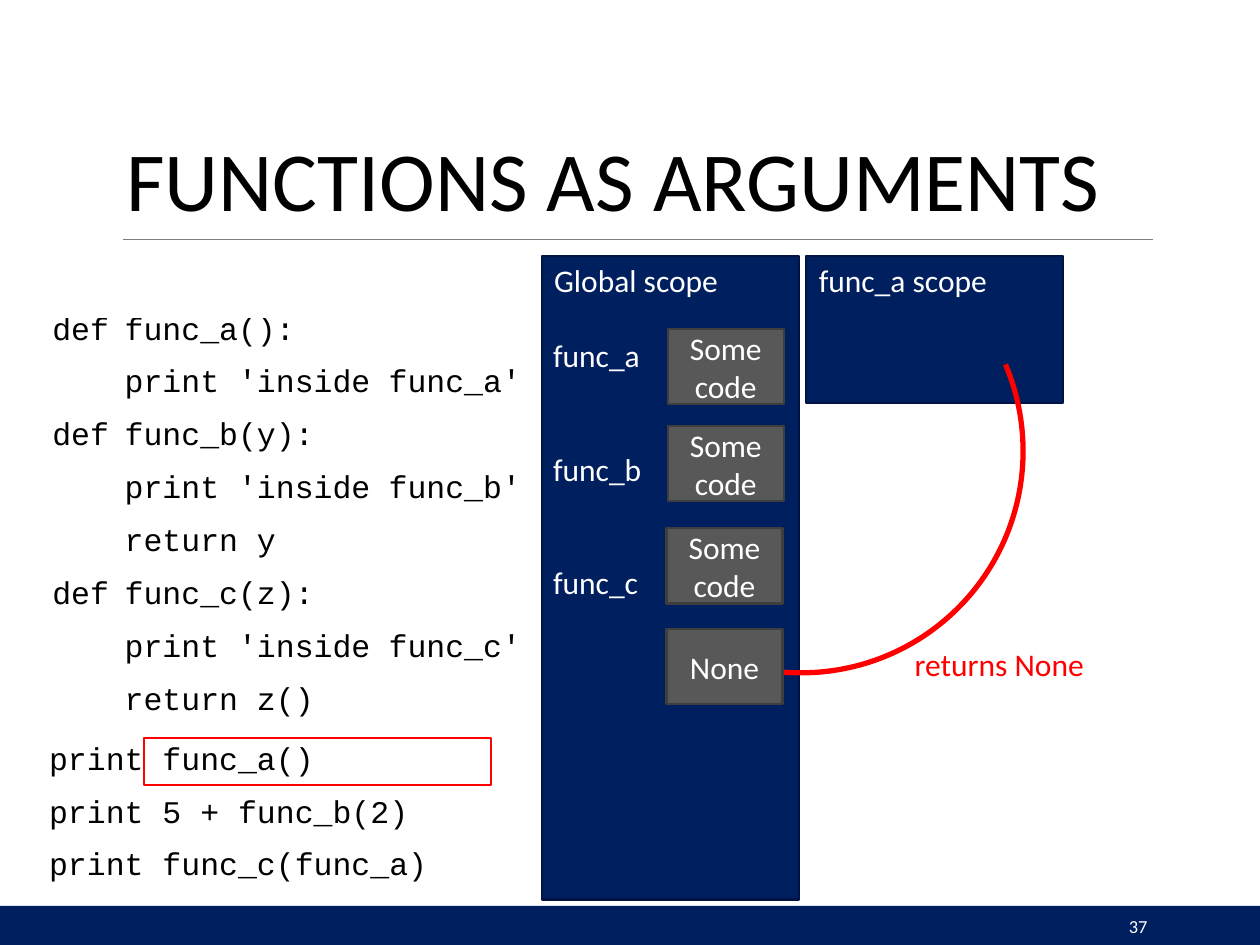
from dataclasses import dataclass
from typing import Optional

from lxml.etree import SubElement
from pptx import Presentation
from pptx.dml.color import RGBColor
from pptx.enum.shapes import MSO_CONNECTOR, MSO_SHAPE
from pptx.enum.text import MSO_ANCHOR, MSO_AUTO_SIZE, PP_ALIGN
from pptx.oxml.ns import qn
from pptx.util import Inches, Pt


@dataclass(frozen=True)
class Theme:
    navy: str = "001F5F"
    navy_edge: str = "001344"
    gray: str = "585858"
    gray_edge: str = "3E3E3E"
    rule: str = "7E7E7E"
    red: str = "FF0000"
    white: str = "FFFFFF"
    black: str = "000000"
    sans: str = "Calibri"
    mono: str = "Courier New"
    title_size: float = 48
    body_size: float = 18
    number_size: float = 10.5
    edge_width: float = 1.25
    arc_width: float = 3


@dataclass(frozen=True)
class Area:
    left: float
    top: float
    width: float
    height: float

    def lengths(self):
        return [Inches(n) for n in (self.left, self.top, self.width, self.height)]


@dataclass(frozen=True)
class CodeBox:
    text: str
    left: float
    top: float


THEME = Theme()
CODE_BOXES = (
    CodeBox("Some code", 5.3, 2.61),
    CodeBox("Some code", 5.3, 3.38),
    CodeBox("Some code", 5.29, 4.19),
    CodeBox("None", 5.29, 4.99),
)
CODE_ROWS = (
    ("def", "func_a():", ""),
    ("", "print 'inside", "func_a'"),
    ("def", "func_b(y):", ""),
    ("", "print 'inside", "func_b'"),
    ("", "return y", ""),
    ("def", "func_c(z):", ""),
    ("", "print 'inside", "func_c'"),
    ("", "return z()", ""),
)
COLUMN_WIDTHS = (0.56, 2.09, 1.16)
COLUMN_INDENTS = (0, 0.07, 0.04)
COLUMN_ALIGNMENTS = (PP_ALIGN.CENTER, PP_ALIGN.LEFT, PP_ALIGN.CENTER)
CALLS = "print func_a()\nprint 5 + func_b(2)\nprint func_c(func_a)"


def write_text(frame, text: str, *, color: str = THEME.white, font: str = THEME.sans,
               size: float = THEME.body_size, align=PP_ALIGN.LEFT, anchor=MSO_ANCHOR.TOP,
               left: float = 0, top: float = 0, line_points: Optional[float] = None) -> None:
    """Fill a text frame, one paragraph per line; left and top are its insets."""
    frame.word_wrap = True
    frame.auto_size = MSO_AUTO_SIZE.NONE
    frame.vertical_anchor = anchor
    frame.margin_left, frame.margin_top = Inches(left), Inches(top)
    frame.margin_right = frame.margin_bottom = 0
    frame.text = text
    for para in frame.paragraphs:
        format_paragraph(para, color, font, size, align)
        if line_points:
            para.line_spacing = Pt(line_points)


def format_paragraph(para, color: str, font: str, size: float, align) -> None:
    para.alignment = align
    para.font.name = font
    para.font.size = Pt(size)
    para.font.color.rgb = RGBColor.from_string(color)


def add_label(page, area: Area, text: str, **text_format) -> None:
    box = page.shapes.add_textbox(*area.lengths())
    write_text(box.text_frame, text, **text_format)


def add_box(page, area: Area, fill: Optional[str] = None, edge: Optional[str] = None,
            edge_width: float = THEME.edge_width, kind=MSO_SHAPE.RECTANGLE):
    box = page.shapes.add_shape(kind, *area.lengths())
    box.shadow.inherit = False
    if fill:
        box.fill.solid()
        box.fill.fore_color.rgb = RGBColor.from_string(fill)
    else:
        box.fill.background()
    if edge:
        box.line.color.rgb = RGBColor.from_string(edge)
        box.line.width = Pt(edge_width)
    else:
        box.line.fill.background()
    return box


def add_title(page) -> None:
    title = page.shapes.title
    title.left, title.top, title.width, title.height = Area(0.99, 0.32, 8.03, 1.51).lengths()
    write_text(title.text_frame, "FUNCTIONS AS ARGUMENTS", color=THEME.black,
               size=THEME.title_size, left=0.01, top=0.69)
    rule = page.shapes.add_connector(MSO_CONNECTOR.STRAIGHT, Inches(0.98), Inches(1.9),
                                     Inches(9.15), Inches(1.9))
    rule.line.color.rgb = RGBColor.from_string(THEME.rule)
    rule.line.width = Pt(0.48)
    SubElement(rule._element.spPr, qn("a:effectLst"))


def add_code_table(page) -> None:
    area = Area(0.36, 2.52, sum(COLUMN_WIDTHS), 3.22)
    table = page.shapes.add_table(len(CODE_ROWS), len(COLUMN_WIDTHS), *area.lengths()).table
    table.first_row = table.horz_banding = False
    for column, width in zip(table.columns, COLUMN_WIDTHS):
        column.width = Inches(width)
    last = len(CODE_ROWS) - 1
    for row_index, texts in enumerate(CODE_ROWS):
        table.rows[row_index].height = Inches(0.35 if row_index in (0, last) else 0.42)
        for column_index, text in enumerate(texts):
            cell = table.cell(row_index, column_index)
            cell.fill.background()
            cell.margin_left = Inches(COLUMN_INDENTS[column_index])
            cell.margin_top = Inches(0.04 if row_index else 0)
            cell.margin_right = cell.margin_bottom = 0
            cell.text = text
            para = cell.text_frame.paragraphs[0]
            format_paragraph(para, THEME.black, THEME.mono, THEME.body_size,
                             COLUMN_ALIGNMENTS[column_index])
            if row_index == 0:
                para.line_spacing = Pt(18.6)


def add_scope(page, area: Area, name: str) -> None:
    panel = add_box(page, area, THEME.navy, THEME.navy_edge)
    write_text(panel.text_frame, name, left=0.1, top=0.04)


def add_return_arc(page) -> None:
    """Sweep clockwise from the function's scope to the returned value."""
    arc = add_box(page, Area(4.6, 1.82, 3.52, 3.52), edge=THEME.red,
                  edge_width=THEME.arc_width, kind=MSO_SHAPE.ARC)
    for index, degrees in enumerate((337, 118)):
        arc.adjustments[index] = degrees * 0.6  # angles are stored in 1/60000 degree
    SubElement(arc.line._get_or_add_ln(), qn("a:tailEnd"), type="triangle")


def main() -> None:
    deck = Presentation()
    deck.slide_width, deck.slide_height = Inches(10), Inches(7.5)
    page = deck.slides.add_slide(deck.slide_layouts[5])

    add_box(page, Area(0, 7.19, 10, 0.31), THEME.navy)
    add_title(page)
    add_code_table(page)

    add_scope(page, Area(4.3, 2.03, 2.04, 5.11), "Global scope")
    add_scope(page, Area(6.4, 2.03, 2.04, 1.17), "func_a scope")
    for index, name in enumerate(("func_a", "func_b", "func_c")):
        add_label(page, Area(4.38, 2.65 + 0.9 * index, 0.8, 0.33), name, left=0.01, top=0.02)
    add_return_arc(page)
    for code in CODE_BOXES:
        box = add_box(page, Area(code.left, code.top, 0.92, 0.6), THEME.gray, THEME.gray_edge)
        write_text(box.text_frame, code.text, align=PP_ALIGN.CENTER, anchor=MSO_ANCHOR.MIDDLE)
    add_label(page, Area(7.25, 5.1, 1.5, 0.33), "returns None", color=THEME.red,
              left=0.01, top=0.02)

    add_box(page, Area(1.14, 5.86, 2.76, 0.37), edge=THEME.red)
    add_label(page, Area(0.38, 5.75, 3.4, 1.27), CALLS, color=THEME.black, font=THEME.mono,
              left=0.01, line_points=30)
    add_label(page, Area(8.91, 7.19, 0.25, 0.24), "37", size=THEME.number_size,
              left=0.05, top=0.07)
    deck.save("out.pptx")


if __name__ == "__main__":
    main()
